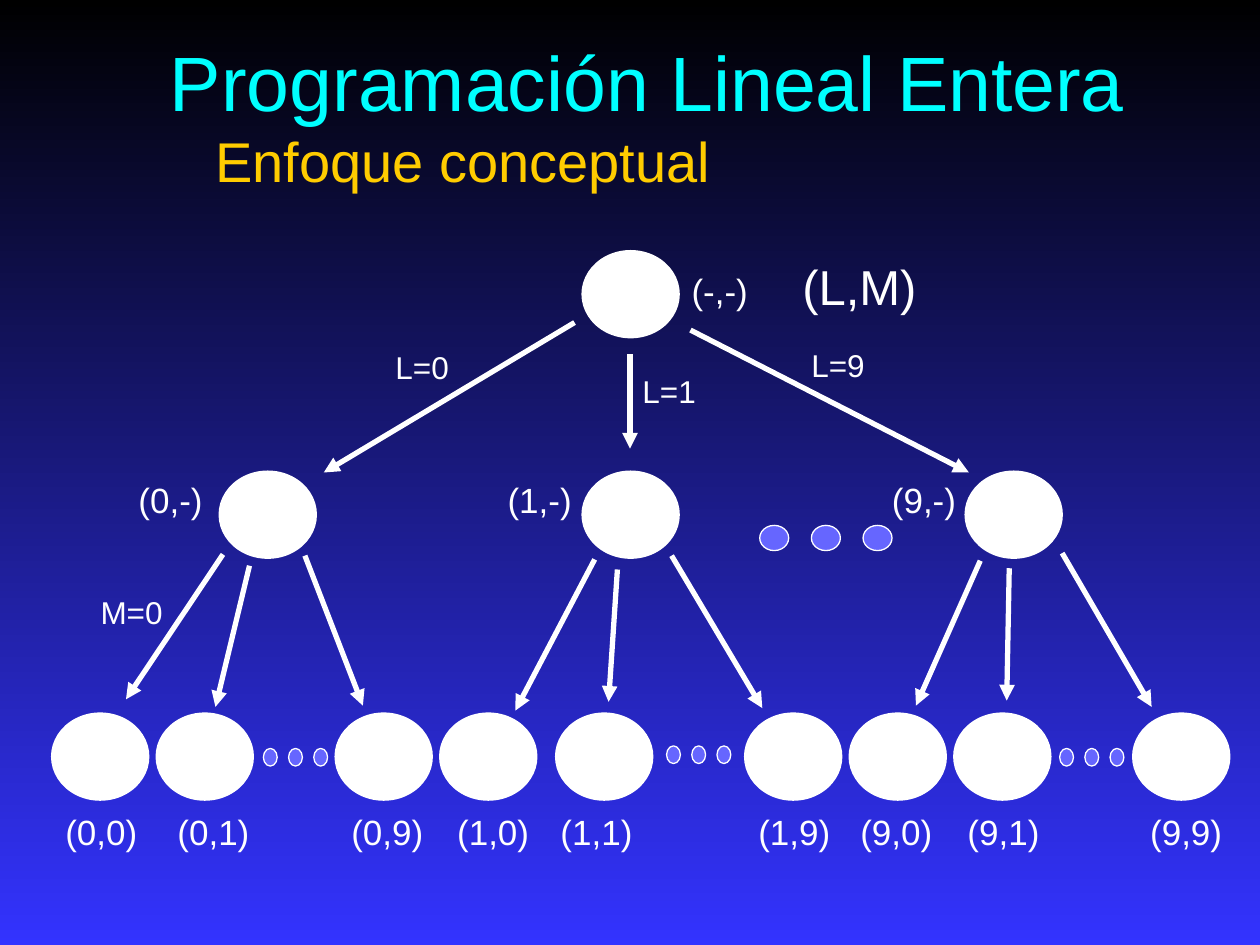
from lxml import etree
from pptx import Presentation
from pptx.dml.color import RGBColor
from pptx.enum.shapes import MSO_CONNECTOR, MSO_SHAPE
from pptx.enum.text import MSO_ANCHOR, MSO_AUTO_SIZE
from pptx.oxml.ns import qn
from pptx.util import Inches, Pt

ELLIPSE, STRAIGHT = MSO_SHAPE.OVAL, MSO_CONNECTOR.STRAIGHT
MIDDLE, FIT = MSO_ANCHOR.MIDDLE, MSO_AUTO_SIZE.SHAPE_TO_FIT_TEXT
rgb = RGBColor.from_string
WHITE, DOT = "FFFFFF", "6666FF"

prs = Presentation()
prs.slide_width, prs.slide_height = Inches(10), Inches(7.5)
s = prs.slides.add_slide(prs.slide_layouts[6])


def add_ellipse(x, y, w, h, color, weight):
    sp = s.shapes.add_shape(ELLIPSE, Inches(x), Inches(y), Inches(w), Inches(h))
    sp.shadow.inherit = False
    sp.fill.solid()
    sp.fill.fore_color.rgb = rgb(color)
    sp.line.color.rgb = rgb(WHITE)
    sp.line.width = Pt(weight)


def add_text(x, y, w, h, lines):
    """Add a text box; each line is (text, size, color, left indent)."""
    tf = s.shapes.add_textbox(Inches(x), Inches(y), Inches(w), Inches(h)).text_frame
    tf.word_wrap = False
    for i, (text, size, color, indent) in enumerate(lines):
        p = tf.add_paragraph() if i else tf.paragraphs[0]
        if indent:
            p._p.get_or_add_pPr().set("marL", str(Inches(indent)))
        r = p.add_run()
        r.text = text
        r.font.color.rgb = rgb(color)
        for name, value in {"name": "Arial", "size": Pt(size)}.items():
            setattr(r.font, name, value)
    return tf


# Background, black at the top to blue at the bottom
fill = s.background.fill
fill.gradient()
fill.gradient_angle = 270
for stop, color in zip(fill.gradient_stops, ("000000", "3333FF")):
    stop.color.rgb = rgb(color)

# Title and subtitle
tf = add_text(0.7, 0.38, 9.05, 1.05, [
    ("Programación Lineal Entera", 44, "00FFFF", 0.55),
    ("Enfoque conceptual", 32, "FFCC00", 0.91),
])
tf.word_wrap = True
tf.vertical_anchor = MIDDLE

# Tree nodes: root, first level, leaves
LEVELS = [
    (2, [4.63]),
    (3.75, [1.75, 4.63, 7.67]),
    (5.67, [0.42, 1.25, 2.67, 3.5, 4.42, 5.92, 6.75, 7.58, 9]),
]
for y, lefts in LEVELS:
    for x in lefts:
        add_ellipse(x, y, 0.75, 0.67, WHITE, 2.25)

# Ellipsis dots: left, top, step, width, height
for x, y, step, w, h in [
    (6.03, 4.17, 0.41, 0.23, 0.2),
    (2.09, 5.94, 0.2, 0.11, 0.14),
    (5.29, 5.92, 0.2, 0.11, 0.14),
    (8.41, 5.94, 0.2, 0.11, 0.14),
]:
    for i in range(3):
        add_ellipse(x + i * step, y, w, h, DOT, 0.75)

# Branch arrows
for x1, y1, x2, y2 in [
    (4.56, 2.56, 2.57, 3.75), (5, 2.81, 5, 3.56), (5.48, 2.62, 7.69, 3.75),
    (1.77, 4.4, 1, 5.55), (1.98, 4.49, 1.71, 5.61), (2.42, 4.41, 2.88, 5.6),
    (4.72, 4.44, 4.09, 5.64), (4.9, 4.52, 4.83, 5.57), (5.33, 4.41, 6.05, 5.62),
    (7.78, 4.45, 7.27, 5.6), (8.01, 4.51, 7.99, 5.56), (8.43, 4.39, 9.14, 5.61),
]:
    arrow = s.shapes.add_connector(STRAIGHT, Inches(x1), Inches(y1), Inches(x2), Inches(y2))
    arrow.line.color.rgb = rgb(WHITE)
    arrow.line.width = Pt(3)
    etree.SubElement(arrow.line._get_or_add_ln(), qn("a:tailEnd"), type="triangle")
    etree.SubElement(arrow._element.spPr, qn("a:effectLst"))

# Node and branch labels: text, left, top, width, height, size
LABELS = [
    ("(-,-)", 5.39, 2.09, 0.66, 0.44, 20),
    ("(L,M)", 6.27, 1.99, 1.13, 0.57, 28),
    ("L=0", 3.04, 2.71, 0.65, 0.4, 18),
    ("L=1", 5, 2.9, 0.65, 0.4, 18),
    ("L=9", 6.34, 2.7, 0.65, 0.4, 18),
    ("M=0", 0.7, 4.66, 0.7, 0.4, 18),
]
LEAF_LEFTS = {0: (0.42, 1.31, 2.69), 1: (3.53, 4.35, 5.92), 9: (6.73, 7.58, 9.03)}
for (l_value, lefts), x in zip(LEAF_LEFTS.items(), (1, 3.93, 6.98)):
    LABELS.append((f"({l_value},-)", x, 3.75, 0.71, 0.44, 20))
    for m_value, left in zip((0, 1, 9), lefts):
        LABELS.append((f"({l_value},{m_value})", left, 6.38, 0.77, 0.44, 20))

for text, x, y, w, h, size in LABELS:
    add_text(x, y, w, h, [(text, size, WHITE, 0)]).auto_size = FIT

prs.save("out.pptx")
